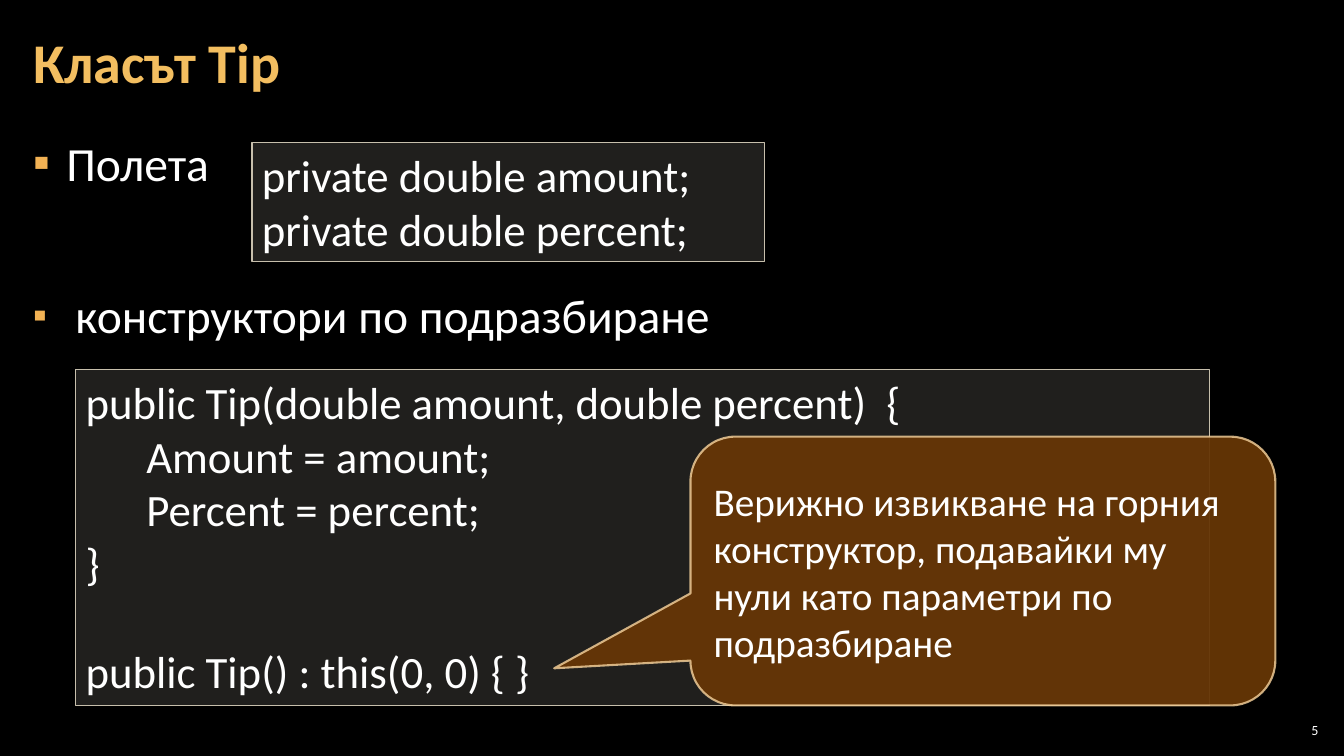
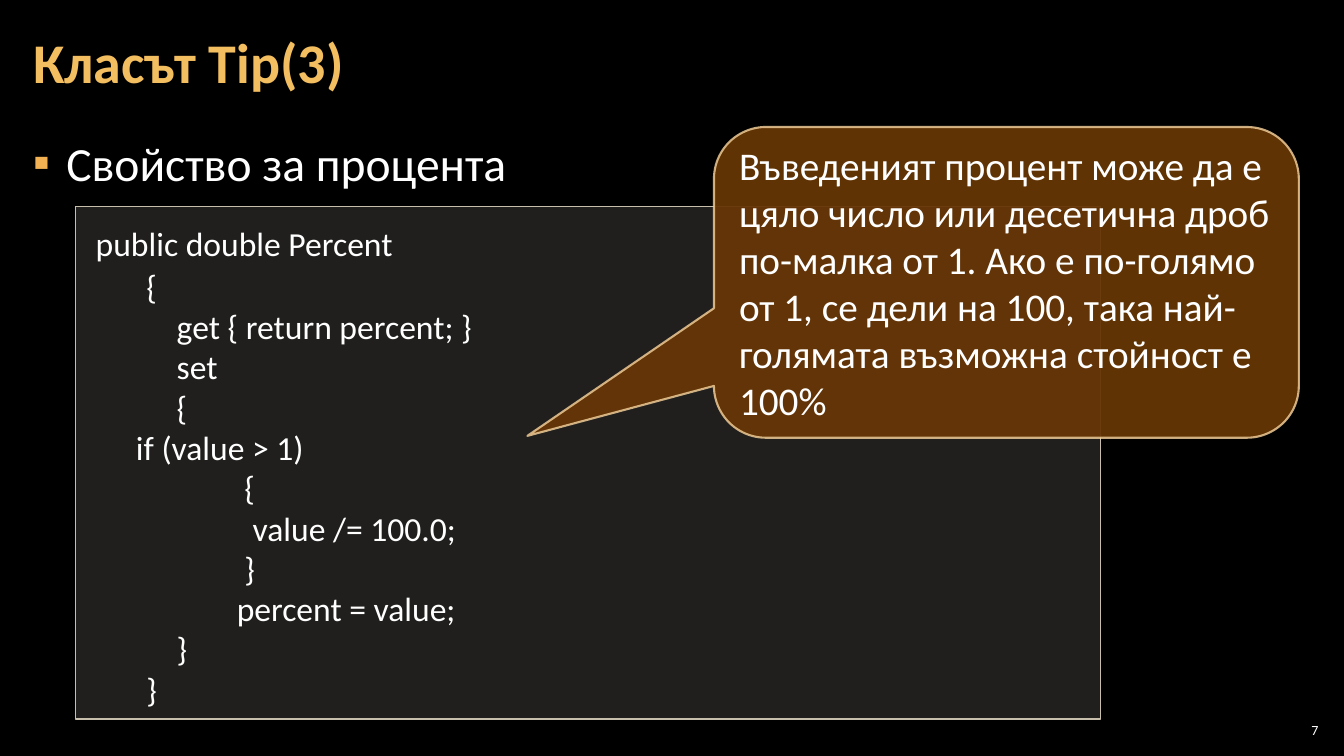
from lxml import etree
from pptx import Presentation, util as u
from pptx.dml.color import RGBColor
from pptx.enum import shapes, text
from pptx.oxml import ns

COLORS = {"background": "000000", "title": "F3BE60", "bullet": "F2B254", "text": "FFFFFF",
          "code": "D9D5C7", "code_line": "C7BFAC", "note": "663606", "note_line": "F8D49E"}
FONT = "Calibri"
TOP, MIDDLE = text.MSO_ANCHOR.TOP, text.MSO_ANCHOR.MIDDLE
RECT, CALLOUT = shapes.MSO_SHAPE.RECTANGLE, shapes.MSO_SHAPE.ROUNDED_RECTANGULAR_CALLOUT

deck = Presentation()
deck.slide_width, deck.slide_height = u.Inches(13.33), u.Inches(7.5)
CELL = deck.slide_width / 64

FRAMES = {
    "title": {"margin_left": u.Inches(0.12), "margin_right": u.Inches(0.12), "vertical_anchor": MIDDLE},
    "body": {"margin_left": u.Inches(0.12), "margin_right": u.Inches(0.12),
             "margin_top": u.Inches(0.04), "vertical_anchor": TOP},
    "number": {"margin_left": u.Inches(0.04), "margin_right": u.Inches(0.04),
               "margin_top": u.Inches(0.04), "margin_bottom": u.Inches(0.04), "vertical_anchor": MIDDLE},
    "code": {"vertical_anchor": TOP},
    "note": {"vertical_anchor": MIDDLE},
}
PARAGRAPHS = {
    "title": {"line_spacing": 0.9},
    "body": {"line_spacing": 1.05, "space_after": u.Pt(6)},
    "number": {"alignment": text.PP_ALIGN.RIGHT},
    "code": {"alignment": text.PP_ALIGN.LEFT},
    "note": {"alignment": text.PP_ALIGN.LEFT},
}
PANELS = {
    "code": {"preset": RECT, "opacity": 15, "line": 1, "line_opacity": 100},
    "note": {"preset": CALLOUT, "opacity": 95, "line": 1.5, "line_opacity": 80},
}

SLIDES = [
    {"number": "5", "title": "Класът Tip",
     "bullets": [("Полета", 0.33, 0, 100), ("конструктори по подразбиране", 0.42, 60, 82)],
     "codes": [
         {"at": (12, 6.8, 24.4, 5.65), "size": 32, "lead": "", "lines": [
             ("private double amount;", 0),
             ("private double percent;", 0)]},
         {"at": (3.6, 17.6, 54, 16), "size": 32, "lead": "", "lines": [
             ("public Tip(double amount, double percent)  {", 0),
             ("      Amount = amount;", 0),
             ("      Percent = percent;", 0),
             ("}", 0),
             ("public Tip() : this(0, 0) { }", 38.4)]}],
     "note": "Верижно извикване на горния конструктор, подавайки му нули като параметри по подразбиране",
     "note_at": (32.88, 20.8, 27.85, 12.8), "pointer": (-0.733, 0.362, 0.167)},
    {"number": "7", "title": "Класът Tip(3)",
     "bullets": [("Свойство за процента", 0.33, 0, 100)],
     "codes": [
         {"at": (3.6, 9.85, 48.8, 24.4), "size": 24, "lead": " ", "lines": [
             ("public double Percent", 0),
             ("        {", 0),
             ("            get { return percent; }", 0),
             ("            set", 0),
             ("            {", 0),
             ("\tif (value > 1)", 0),
             ("               \t {", 0),
             ("                      value /= 100.0;", 0),
             ("               \t }", 0),
             ("                \tpercent = value;", 0),
             ("            }", 0),
             ("        }", 0)]}],
     "note": "Въведеният процент може да е цяло число или десетична дроб по-малка от 1. "
             "Ако е по-голямо от 1, се дели на 100, така най-голямата възможна стойност е 100%",
     "note_at": (34, 6.05, 27.85, 14.8), "pointer": (-0.819, 0.494, 0.167)},
]


def add_box(slide, role, at):
    place = [round(part * CELL) for part in at]
    if role in PANELS:
        panel = PANELS[role]
        box = slide.shapes.add_shape(panel["preset"], *place)
        box.shadow.inherit = False
        box.line.width = u.Pt(panel["line"])
        for paint, color, opacity in ((box.fill, role, panel["opacity"]),
                                      (box.line.fill, role + "_line", panel["line_opacity"])):
            paint.solid()
            paint.fore_color.rgb = RGBColor.from_string(COLORS[color])
        for tint, opacity in zip(box._element.spPr.iter(ns.qn("a:srgbClr")),
                                 (panel["opacity"], panel["line_opacity"])):
            etree.SubElement(tint, ns.qn("a:alpha"), val=str(opacity * 1000))
    else:
        box = slide.shapes.add_textbox(*place)
    box.text_frame.word_wrap = True
    for name, value in FRAMES[role].items():
        setattr(box.text_frame, name, value)
    return box


def write(box, role, lines, size, color="text", bold=False, lead=""):
    frame = box.text_frame
    for index, (words, before) in enumerate(lines):
        paragraph = frame.add_paragraph() if index else frame.paragraphs[0]
        pieces = [(words, size)]
        if lead and index == 0:
            pieces.insert(0, (lead, 32))
        for piece, points in pieces:
            run = paragraph.add_run()
            run.text = piece
            run.font.color.rgb = RGBColor.from_string(COLORS[color])
            for name, value in {"name": FONT, "size": u.Pt(points), "bold": bold}.items():
                setattr(run.font, name, value)
        for name, value in PARAGRAPHS[role].items():
            setattr(paragraph, name, value)
        if before:
            paragraph.space_before = u.Pt(before)


for content in SLIDES:
    slide = deck.slides.add_slide(deck.slide_layouts[6])
    slide.background.fill.solid()
    slide.background.fill.fore_color.rgb = RGBColor.from_string(COLORS["background"])

    number = add_box(slide, "number", (60.72, 34.28, 2.26, 1))
    write(number, "number", [(content["number"], 0)], 10)

    body = add_box(slide, "body", (1, 6.05, 62, 28.2))
    write(body, "body", [(words, before) for words, _, before, _ in content["bullets"]], 34)
    for paragraph, (_, indent, _, scale) in zip(body.text_frame.paragraphs, content["bullets"]):
        props = paragraph._p.get_or_add_pPr()
        props.set("marL", str(u.Inches(indent)))
        props.set("indent", str(-u.Inches(indent)))
        tint = etree.SubElement(props, ns.qn("a:buClr"))
        etree.SubElement(tint, ns.qn("a:srgbClr"), val=COLORS["bullet"])
        etree.SubElement(props, ns.qn("a:buSzPct"), val=str(scale * 1000))
        etree.SubElement(props, ns.qn("a:buFont"), typeface=FONT)
        etree.SubElement(props, ns.qn("a:buChar"), char="▪")

    title = add_box(slide, "title", (1, 0.2, 50.25, 5.8))
    write(title, "title", [(content["title"], 0)], 40, "title", True)

    for code in content["codes"]:
        listing = add_box(slide, "code", code["at"])
        write(listing, "code", code["lines"], code["size"], lead=code["lead"])

    note = add_box(slide, "note", content["note_at"])
    for index, value in enumerate(content["pointer"]):
        note.adjustments[index] = value
    write(note, "note", [(content["note"], 0)], 28)

deck.save("out.pptx")
